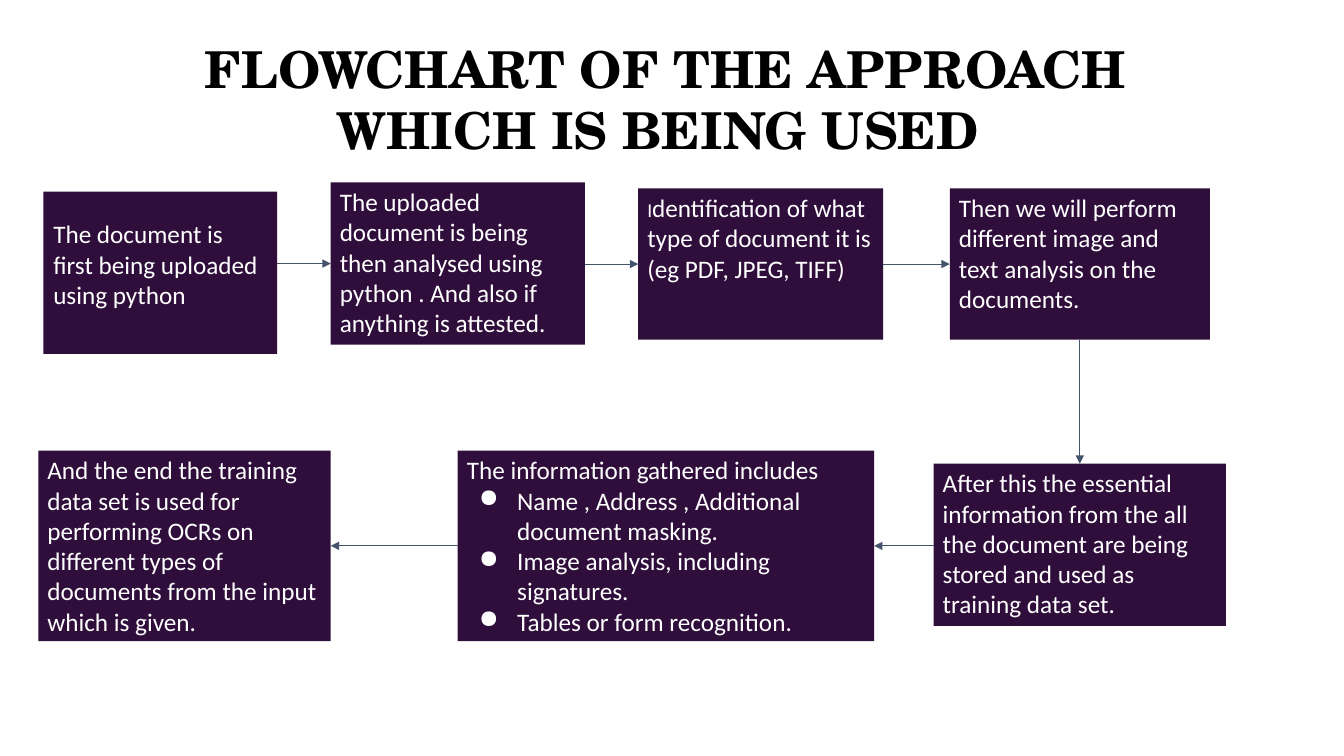
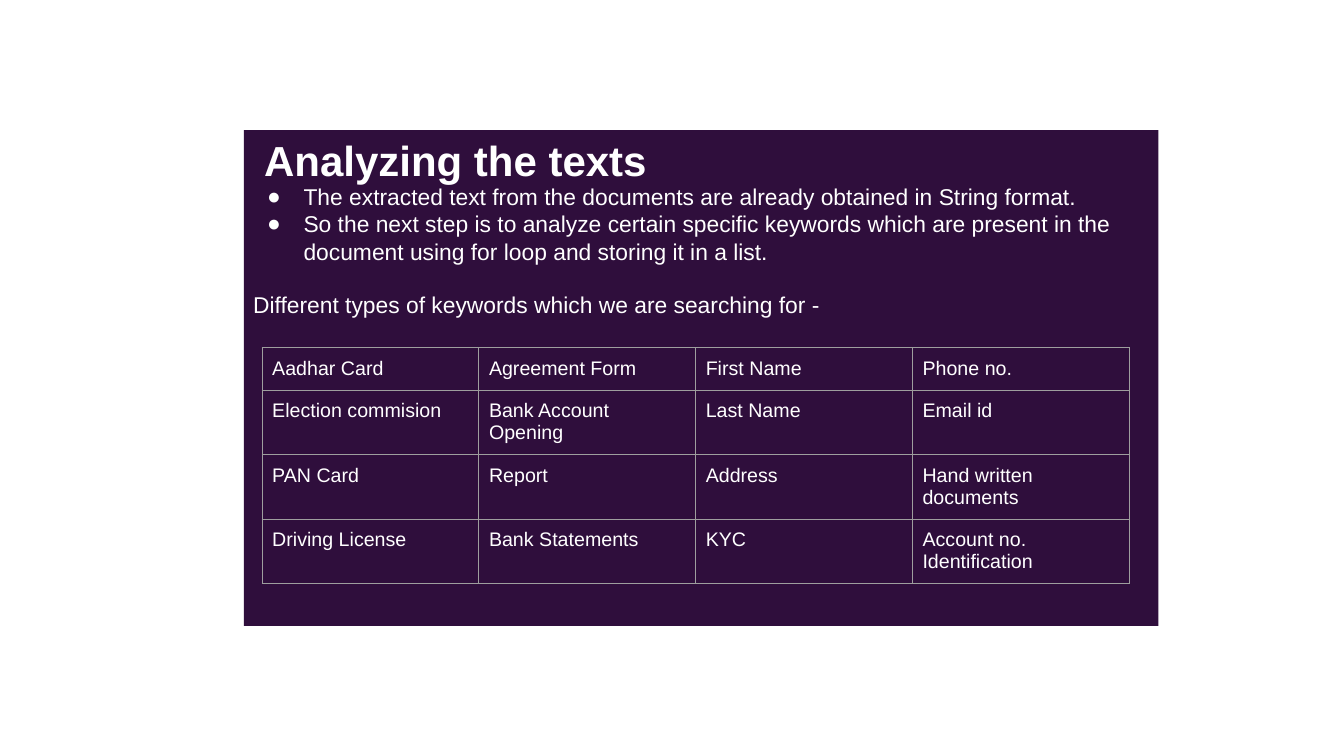
from dataclasses import dataclass
from itertools import pairwise

from lxml.etree import SubElement
from pptx import Presentation
from pptx.dml.color import RGBColor
from pptx.enum.shapes import MSO_CONNECTOR, MSO_SHAPE
from pptx.enum.text import MSO_ANCHOR, MSO_AUTO_SIZE, PP_ALIGN
from pptx.oxml import parse_xml
from pptx.oxml.ns import nsdecls, qn
from pptx.util import Inches, Pt


# Colours, fonts and type sizes
@dataclass(frozen=True)
class Theme:
    panel: str = "2F0E3C"
    white: str = "FFFFFF"
    black: str = "000000"
    arrow: str = "44546A"
    grid: str = "9E9E9E"
    serif: str = "TeX Gyre Schola"
    step: str = "Calibri"
    sans: str = "Arial"
    title: float = 36.3
    head: float = 30
    flow: float = 18
    body: float = 16.3
    small: float = 14
    line: float = 0.75


THEME = Theme()
LAYOUT_LIST, LAYOUT_TITLE = 1, 5


def cells(*counts):
    """Turn counts of tenth-inch grid cells into lengths."""
    return [Inches(count / 10) for count in counts]


def rgb(code):
    return RGBColor.from_string(code)


def bullet(para, hang):
    props = para._p.get_or_add_pPr()
    props.set("marL", str(Inches(0.5)))
    props.set("indent", str(-Inches(hang)))
    SubElement(props, qn("a:buChar")).set("char", "●")


def write(frame, *paras, font, size, color=THEME.white, bold=False,
          align=PP_ALIGN.LEFT, inset=(0.9, 0.4), dots=(), hang=0.38, gaps=None):
    """Write paragraphs; each is a string or a list of (text, size) runs."""
    frame.word_wrap = True
    frame.auto_size = MSO_AUTO_SIZE.NONE
    frame.vertical_anchor = MSO_ANCHOR.TOP
    frame.margin_left, frame.margin_top = cells(*inset)
    frame.margin_right, frame.margin_bottom = frame.margin_left, 0
    for n, parts in enumerate(paras):
        para = frame.paragraphs[0] if n == 0 else frame.add_paragraph()
        para.alignment = align
        para.space_before = Pt((gaps or {}).get(n, 0))
        if n in dots:
            bullet(para, hang)
        else:
            props = para._p.get_or_add_pPr()
            props.set("marL", "0")
            props.set("indent", "0")
            SubElement(props, qn("a:buNone"))
        for text, points in ([(parts, size)] if isinstance(parts, str) else parts):
            run = para.add_run()
            run.text = text
            run.font.name, run.font.size = font, Pt(points)
            run.font.bold, run.font.color.rgb = bold, rgb(color)


class Deck:
    def __init__(self, theme):
        self.theme = theme
        self.show = Presentation()
        self.show.slide_width, self.show.slide_height = Inches(13.33), Inches(7.5)
        self.slide = None

    def page(self, layout):
        self.slide = self.show.slides.add_slide(self.show.slide_layouts[layout])

    def holder(self, index, area, *paras, **style):
        """Place and fill a title or body placeholder."""
        shape = self.slide.placeholders[index]
        shape.left, shape.top, shape.width, shape.height = cells(*area)
        write(shape.text_frame, *paras, **style)

    def box(self, area, *paras, **style):
        shape = self.slide.shapes.add_shape(MSO_SHAPE.RECTANGLE, *cells(*area))
        shape.shadow.inherit = False
        shape.fill.solid()
        shape.fill.fore_color.rgb = rgb(self.theme.panel)
        shape.line.fill.background()
        if paras:
            write(shape.text_frame, *paras, font=self.theme.step,
                  size=self.theme.flow, **style)
        return shape

    def back(self, shape):
        """Send a shape behind the placeholders."""
        self.slide.shapes.element.insert(2, shape.element)

    def link(self, start, end):
        """Draw a straight arrow between facing edges, level with the end box."""
        x = end.left + end.width // 2
        y = end.top + end.height // 2
        if start.left + start.width <= end.left:
            ends = start.left + start.width, y, end.left, y
        elif end.left + end.width <= start.left:
            ends = start.left, y, end.left + end.width, y
        else:
            ends = x, start.top + start.height, x, end.top
        line = self.slide.shapes.add_connector(MSO_CONNECTOR.STRAIGHT, *ends)
        line.line.color.rgb = rgb(self.theme.arrow)
        line.line.width = Pt(self.theme.line)
        SubElement(line.line._get_or_add_ln(), qn("a:tailEnd")).set("type", "triangle")
        SubElement(line.element.spPr, qn("a:effectLst"))

    def border(self, cell):
        props = cell._tc.get_or_add_tcPr()
        for n, side in enumerate("LRTB"):
            props.insert(n, parse_xml(
                f'<a:ln{side} {nsdecls("a")} w="{Pt(self.theme.line)}"><a:solidFill>'
                f'<a:srgbClr val="{self.theme.grid}"/></a:solidFill></a:ln{side}>'))

    def table(self, left, top, width, heights, rows):
        area = cells(left, top, width, sum(heights))
        table = self.slide.shapes.add_table(len(rows), len(rows[0]), *area).table
        table.first_row = table.horz_banding = False
        for row, height, words in zip(table.rows, cells(*heights), rows):
            row.height = height
            for cell, word in zip(row.cells, words):
                cell.fill.background()
                self.border(cell)
                cell.margin_left, cell.margin_right, cell.margin_top, \
                    cell.margin_bottom = cells(1, 1, 1, 1)
                para = cell.text_frame.paragraphs[0]
                run = para.add_run()
                run.text = word
                run.font.name, run.font.size = self.theme.sans, Pt(self.theme.small)
                run.font.color.rgb = rgb(self.theme.white)


def flow(deck):
    theme = deck.theme
    deck.page(LAYOUT_TITLE)
    deck.holder(0, (10.4, 2.7, 111.2, 14.2),
                "FLOWCHART OF THE APPROACH WHICH IS BEING USED ",
                font=theme.serif, size=theme.title, color=theme.black, bold=True,
                align=PP_ALIGN.CENTER, inset=(1, 1))
    # Steps in reading order
    steps = [
        deck.box((4.3, 19, 23.2, 16.1),
                 "The document is first being uploaded using python", inset=(1, 2.7)),
        deck.box((32.8, 18.1, 25.2, 16.1),
                 "The uploaded document is being then analysed using python . "
                 "And also if anything is attested."),
        deck.box((63.3, 18.7, 24.3, 15),
                 [("I", theme.small), ("dentification of what type of document it is "
                                       "(eg PDF, JPEG, TIFF)", theme.flow)]),
        deck.box((94.2, 18.7, 25.8, 15),
                 "Then we will perform different image and text analysis "
                 "on the documents."),
        deck.box((92.6, 46, 29, 16.1),
                 "After this the essential information from the all the document "
                 "are being stored and used as training data set."),
        deck.box((45.4, 44.7, 41.3, 18.9),
                 "The information gathered includes",
                 "Name , Address , Additional document masking.",
                 "Image analysis, including signatures.",
                 "Tables or form recognition.", dots=(1, 2, 3)),
        deck.box((3.8, 44.7, 29, 18.9),
                 "And the end the training data set is used for performing OCRs on "
                 "different types of documents from the input which is given."),
    ]
    # Arrows from each step to the next
    for start, end in pairwise(steps):
        deck.link(start, end)


def words(deck):
    theme = deck.theme
    deck.page(LAYOUT_LIST)
    deck.back(deck.box((24.2, 12.9, 90.7, 49.2)))
    # Heading and list on the panel
    deck.holder(0, (26.2, 13.3, 86, 4.8), "Analyzing the texts",
                font=theme.sans, size=theme.head, bold=True, inset=(0, 0))
    deck.holder(1, (24.2, 18.1, 90.7, 15),
                "The extracted text from the documents are already obtained "
                "in String format.",
                "So the next step is to analyze certain specific keywords which are "
                "present in the document using for loop and storing it in a list.",
                "Different types of keywords which we are searching for -",
                font=theme.sans, size=theme.body, inset=(0.9, 0),
                dots=(0, 1), hang=0.36, gaps={2: 18.7})
    # Keyword table
    deck.table(26, 34.5, 86, (4.2, 6.4, 6.4, 6.4), [
        ("Aadhar Card", "Agreement Form", "First Name", "Phone no."),
        ("Election commision", "Bank Account Opening", "Last Name", "Email id"),
        ("PAN Card", "Report", "Address", "Hand written documents"),
        ("Driving License", "Bank Statements", "KYC", "Account no. Identification"),
    ])


def main():
    deck = Deck(THEME)
    flow(deck)
    words(deck)
    deck.show.save("out.pptx")


if __name__ == "__main__":
    main()
